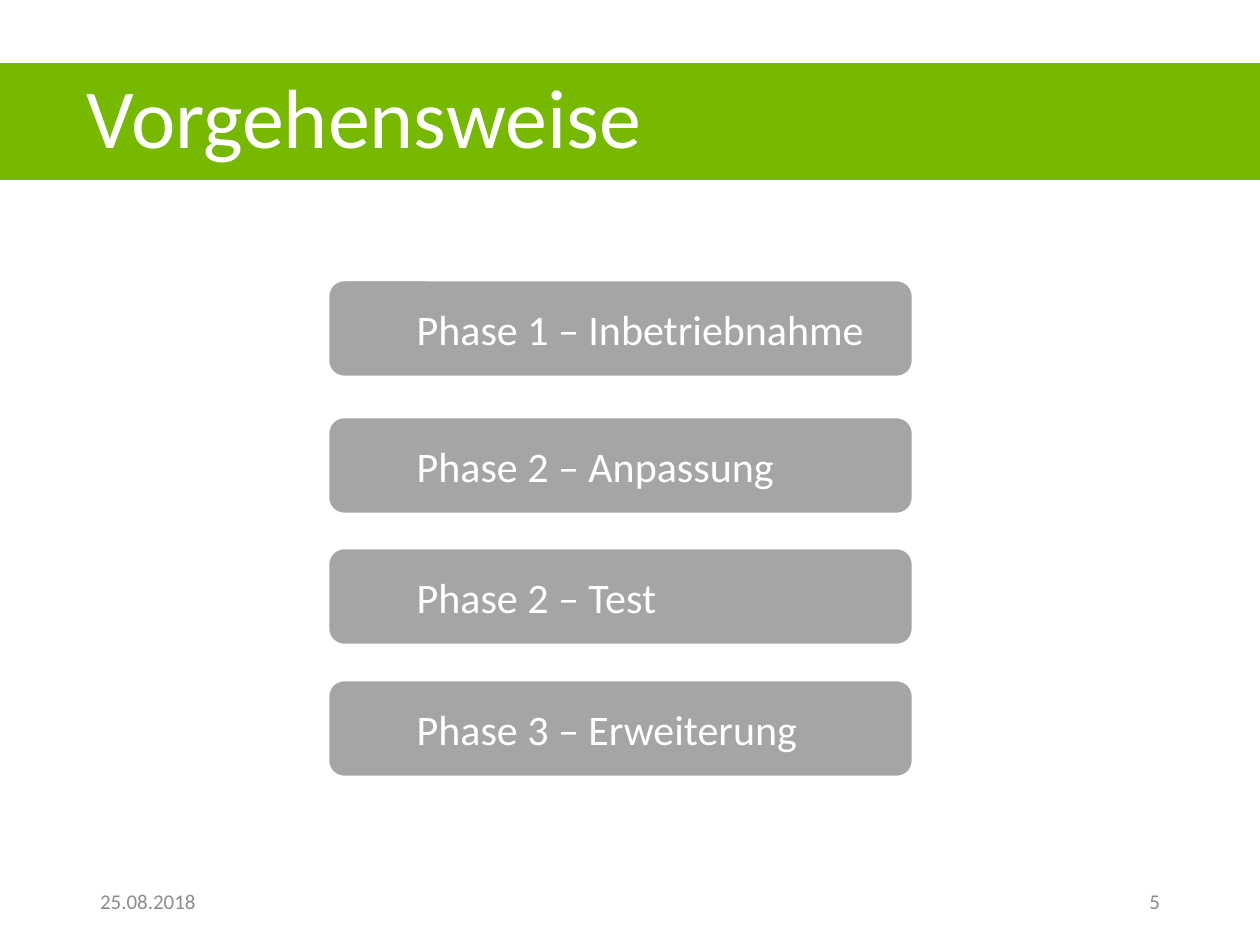
from pptx import Presentation
from pptx.dml.color import RGBColor
from pptx.enum.shapes import MSO_SHAPE
from pptx.enum.text import MSO_ANCHOR, PP_ALIGN
from pptx.util import Pt

PX = 914400 // 126
RECT, ROUNDED = MSO_SHAPE.RECTANGLE, MSO_SHAPE.ROUNDED_RECTANGLE
MIDDLE = MSO_ANCHOR.MIDDLE
LEFT, RIGHT = PP_ALIGN.LEFT, PP_ALIGN.RIGHT
GREEN, GREY, MUTED, WHITE = "76B900", "A5A5A5", "8C8C8C", "FFFFFF"

PHASES = [
    (0, "Phase 1 – Inbetriebnahme"),
    (137, "Phase 2 – Anpassung"),
    (268, "Phase 2 – Test"),
    (400, "Phase 3 – Erweiterung"),
]


def color(value):
    return RGBColor.from_string(value)


def emu(*lengths):
    return [length * PX for length in lengths]


def write(shape, text, size, ink, align=LEFT, inset=13, spacing=1.0):
    frame = shape.text_frame
    left, right, edge = emu(inset, 13, 6)
    frame_format = {
        "word_wrap": True, "vertical_anchor": MIDDLE,
        "margin_left": left, "margin_right": right,
        "margin_top": edge, "margin_bottom": edge,
    }
    para = frame.paragraphs[0]
    span = para.add_run()
    span.text = text
    span.font.color.rgb = color(ink)
    formats = [
        (frame, frame_format),
        (para, {"alignment": align, "line_spacing": spacing}),
        (span.font, {"name": "Calibri", "size": Pt(size)}),
    ]
    for target, values in formats:
        for name, value in values.items():
            setattr(target, name, value)


def add_block(page, kind, box, fill):
    shape = page.shapes.add_shape(kind, *emu(*box))
    shape.shadow.inherit = False
    shape.fill.solid()
    shape.fill.fore_color.rgb = color(fill)
    shape.line.fill.background()
    return shape


def add_title(page, box, text):
    band = add_block(page, RECT, box, GREEN)
    write(band, text, 48, WHITE, inset=87, spacing=0.9)


def add_phases(page, box, phases):
    left, top, width, height = box
    for offset, text in phases:
        card = add_block(page, ROUNDED, (left, top + offset, width, height), GREY)
        card.line.color.rgb = color(WHITE)
        card.line.width = Pt(1.5)
        write(card, text, 24, WHITE, inset=84)


def add_footer(page, box, date, number):
    left, top, width, height = box
    field = 284
    for x, text, align in [(left, date, LEFT), (left + width - field, number, RIGHT)]:
        shape = page.shapes.add_textbox(*emu(x, top, field, height))
        write(shape, text, 12, MUTED, align)


def main():
    deck = Presentation()
    deck.slide_width, deck.slide_height = emu(1260, 945)
    page = deck.slides.add_slide(deck.slide_layouts[6])
    add_title(page, (0, 63, 1260, 117), "Vorgehensweise")
    add_footer(page, (87, 876, 1086, 50), "25.08.2018", "5")
    add_phases(page, (328, 280, 585, 97), PHASES)
    deck.save("out.pptx")


if __name__ == "__main__":
    main()
